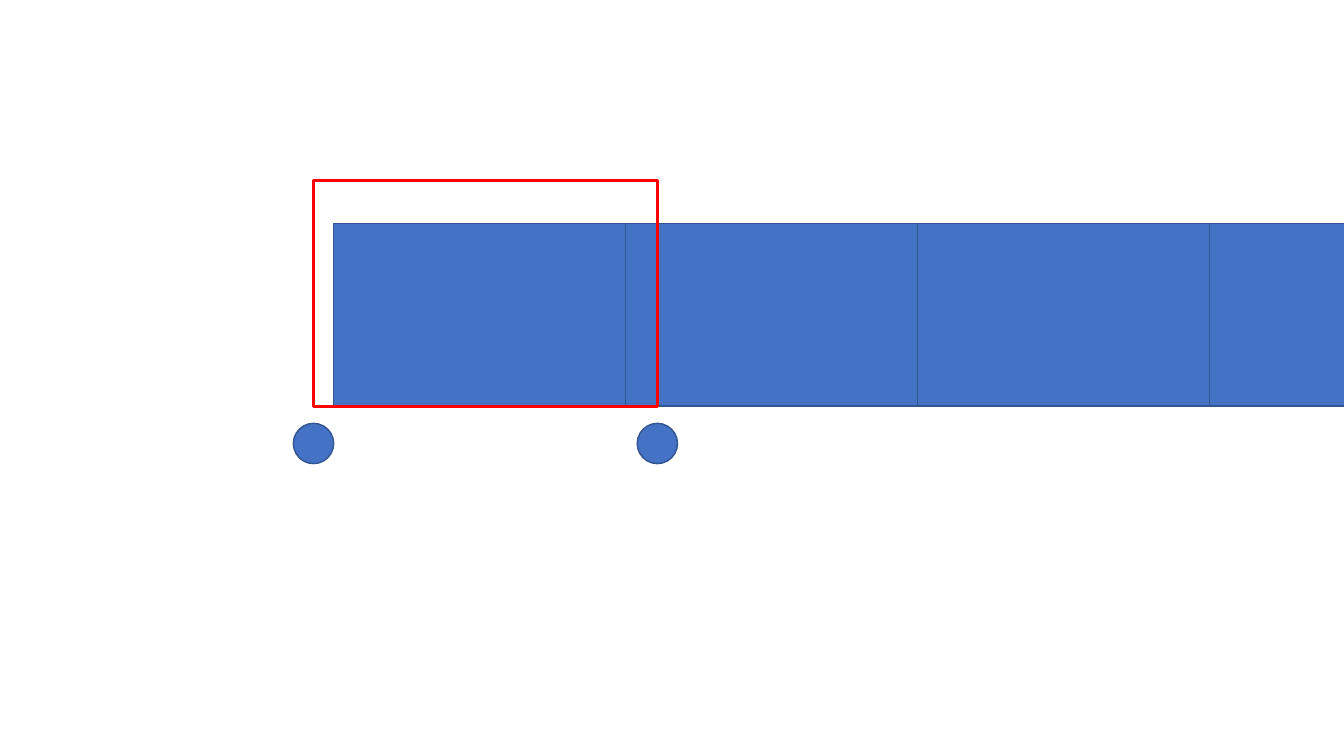
import pptx
import pptx.dml.color
import pptx.enum.shapes
import pptx.util
from dataclasses import dataclass

Inches = pptx.util.Inches
Kind = pptx.enum.shapes.MSO_SHAPE


@dataclass(frozen=True)
class Theme:
    fill: str = "4472C4"
    outline: str = "325491"
    window: str = "FF0000"
    outline_width: float = 1
    window_width: float = 2


theme = Theme()


def add_part(shapes, kind, left, top, width, height, fill, outline, weight):
    part = shapes.add_shape(kind, Inches(left), Inches(top), Inches(width), Inches(height))
    part.shadow.inherit = False
    if fill:
        part.fill.solid()
        part.fill.fore_color.rgb = pptx.dml.color.RGBColor.from_string(fill)
    else:
        part.fill.background()
    part.line.color.rgb = pptx.dml.color.RGBColor.from_string(outline)
    part.line.width = pptx.util.Pt(weight)


deck = pptx.Presentation()
deck.slide_width = Inches(13.33)
deck.slide_height = Inches(7.5)
slide = deck.slides.add_slide(deck.slide_layouts[6])

cell_count = 4
strip_left, strip_top = 3.31, 2.22
strip_width, strip_height = 11.58, 1.81
cell_width = strip_width / cell_count
strip = slide.shapes.add_group_shape()
for index in range(cell_count):
    add_part(strip.shapes, Kind.RECTANGLE, strip_left + index * cell_width, strip_top,
             cell_width, strip_height, theme.fill, theme.outline, theme.outline_width)

window_left, window_top = 3.11, 1.79
window_width, window_height = 3.41, 2.24
add_part(slide.shapes, Kind.RECTANGLE, window_left, window_top,
         window_width, window_height, None, theme.window, theme.window_width)

marker_size, marker_top = 0.4, 4.2
for window_edge in (window_left, window_left + window_width):
    add_part(slide.shapes, Kind.OVAL, window_edge - marker_size / 2, marker_top,
             marker_size, marker_size, theme.fill, theme.outline, theme.outline_width)

deck.save("out.pptx")
